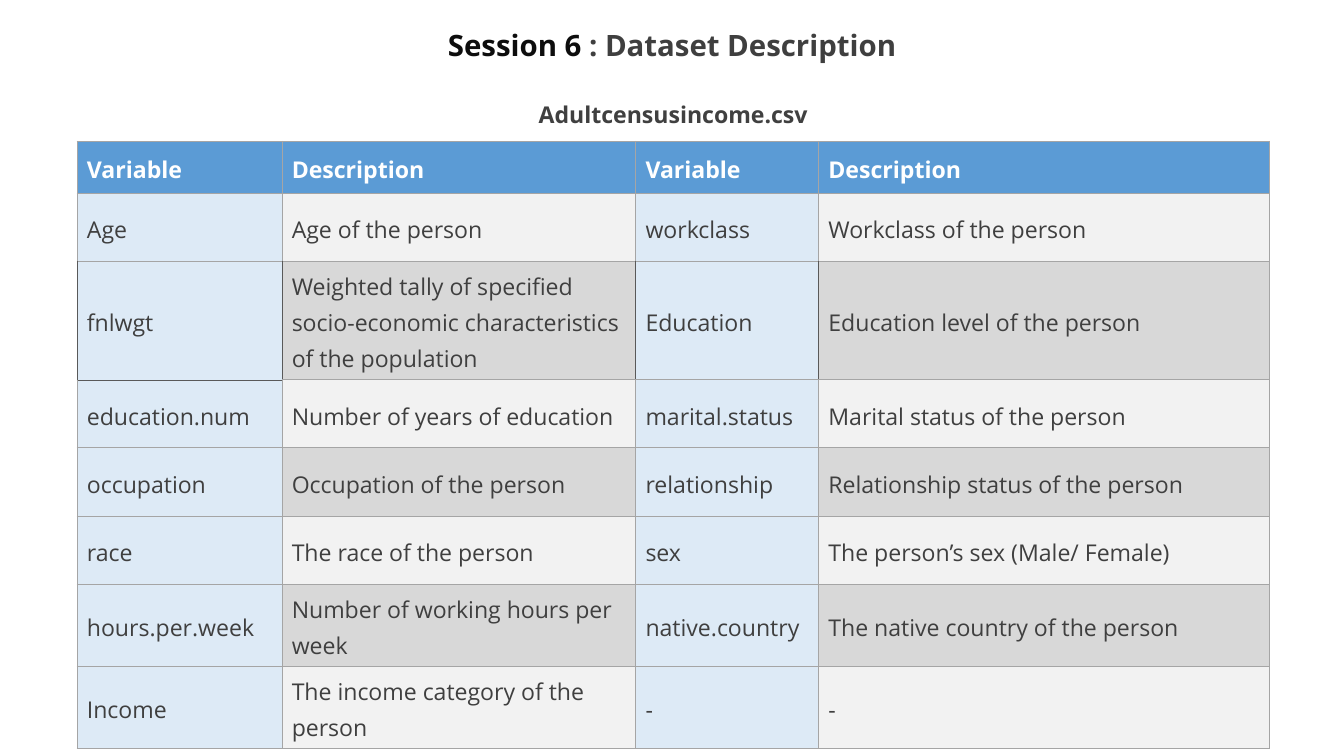
from typing import NamedTuple

from lxml import etree
from pptx import Presentation
from pptx import util as u
from pptx.dml.color import RGBColor
from pptx.enum import text
from pptx.oxml import ns

FONT = "Open Sans"
COLORS = {
    "title": "0D0D0D", "body": "3F3F3F", "subtitle": "404040", "white": "FFFFFF",
    "header": "5B9BD5", "variable": "DDEAF6", "light": "F2F2F2", "gray": "D8D8D8",
    "grid": "A5A5A5", "dark": "595959",
}
COLUMN_WIDTHS = [2.71, 4.68, 2.42, 5.96]
HEADER_HEIGHT, ROW_HEIGHT = 0.69, 0.9
CELL_FORMAT = {
    "margin_left": u.Inches(0.13), "margin_right": u.Inches(0.13),
    "margin_top": u.Inches(0.07), "margin_bottom": u.Inches(0.07),
    "vertical_anchor": text.MSO_ANCHOR.MIDDLE,
}
BOX_FORMAT = {"word_wrap": True, "vertical_anchor": text.MSO_ANCHOR.MIDDLE}
OUTLINED_ROW = 2


class Span(NamedTuple):
    """A piece of text with one colour."""
    words: str
    color: str


class Heading(NamedTuple):
    """A centred bold line above the table."""
    left: float
    top: float
    width: float
    height: float
    size: int
    spacing: float
    spans: list[Span]


class Entry(NamedTuple):
    """A dataset variable and its description."""
    variable: str
    description: str


HEADINGS = [
    Heading(-0.01, 0.25, 17.8, 0.75, 28, 0.9,
            [Span("Session 6 ", "title"), Span(": Dataset Description", "body")]),
    Heading(1.96, 1.3, 13.89, 0.42, 22, 1.0, [Span("Adultcensusincome.csv", "subtitle")]),
]
ROWS = [
    (Entry("Variable", "Description"), Entry("Variable", "Description")),
    (Entry("Age", "Age of the person"), Entry("workclass", "Workclass of the person")),
    (Entry("fnlwgt", "Weighted tally of specified socio-economic characteristics of the population"),
     Entry("Education", "Education level of the person")),
    (Entry("education.num", "Number of years of education"),
     Entry("marital.status", "Marital status of the person")),
    (Entry("occupation", "Occupation of the person"),
     Entry("relationship", "Relationship status of the person")),
    (Entry("race", "The race of the person"), Entry("sex", "The person’s sex (Male/ Female)")),
    (Entry("hours.per.week", "Number of working hours per week"),
     Entry("native.country", "The native country of the person")),
    (Entry("Income", "The income category of the person"), Entry("-", "-")),
]


def apply_format(target: object, values: dict) -> None:
    """Set every attribute named in the values."""
    for name, value in values.items():
        setattr(target, name, value)


def add_span(paragraph, span: Span, size: int, bold: bool) -> None:
    """Append a formatted run to the paragraph."""
    run = paragraph.add_run()
    run.text = span.words
    apply_format(run.font, {"name": FONT, "size": u.Pt(size), "bold": bold})
    run.font.color.rgb = RGBColor.from_string(COLORS[span.color])


def add_heading(slide, heading: Heading) -> None:
    """Draw one heading as a text box."""
    bounds = map(u.Inches, (heading.left, heading.top, heading.width, heading.height))
    frame = slide.shapes.add_textbox(*bounds).text_frame
    apply_format(frame, BOX_FORMAT)
    paragraph = frame.paragraphs[0]
    apply_format(paragraph, {"alignment": text.PP_ALIGN.CENTER, "line_spacing": heading.spacing})
    for span in heading.spans:
        add_span(paragraph, span, heading.size, True)


def dark_sides(row: int, column: int) -> str:
    """Name the sides of a cell that carry the dark outline."""
    if row == OUTLINED_ROW:
        return "LRB" if column == 0 else "LR" if column < 3 else "L"
    return "T" if (row, column) == (OUTLINED_ROW + 1, 0) else ""


def set_borders(cell, dark: str) -> None:
    """Give the cell a thin line on each side."""
    properties = cell._tc.get_or_add_tcPr()
    for side in "LRTB":
        color, width = ("dark", 0.75) if side in dark else ("grid", 1)
        line = etree.SubElement(properties, ns.qn(f"a:ln{side}"), w=str(u.Pt(width)))
        fill = etree.SubElement(line, ns.qn("a:solidFill"))
        etree.SubElement(fill, ns.qn("a:srgbClr"), val=COLORS[color])


def cell_fill(row: int, column: int) -> str:
    """Choose the fill colour by position."""
    if row == 0:
        return "header"
    if column % 2 == 0:
        return "variable"
    return "light" if row % 2 else "gray"


def add_variable_table(slide) -> None:
    """Draw the table of dataset variables."""
    heights = [HEADER_HEIGHT] + [ROW_HEIGHT] * (len(ROWS) - 1)
    table = slide.shapes.add_table(
        len(ROWS), len(COLUMN_WIDTHS), u.Inches(1.02), u.Inches(1.87),
        u.Inches(sum(COLUMN_WIDTHS)), u.Inches(sum(heights))).table
    for column, width in zip(table.columns, COLUMN_WIDTHS):
        column.width = u.Inches(width)
    for row, height in zip(table.rows, heights):
        row.height = u.Inches(height)
    for row, (first, second) in enumerate(ROWS):
        for column, words in enumerate(first + second):
            cell = table.cell(row, column)
            apply_format(cell, CELL_FORMAT)
            set_borders(cell, dark_sides(row, column))
            cell.fill.solid()
            cell.fill.fore_color.rgb = RGBColor.from_string(COLORS[cell_fill(row, column)])
            paragraph = cell.text_frame.paragraphs[0]
            paragraph.line_spacing = 1.14
            add_span(paragraph, Span(words, "body" if row else "white"), 22, row == 0)


def main() -> None:
    """Build the dataset description slide."""
    presentation = Presentation()
    apply_format(presentation, {"slide_width": u.Inches(17.78), "slide_height": u.Inches(10)})
    slide = presentation.slides.add_slide(presentation.slide_layouts[6])
    add_variable_table(slide)
    for heading in HEADINGS:
        add_heading(slide, heading)
    presentation.save("out.pptx")


if __name__ == "__main__":
    main()
